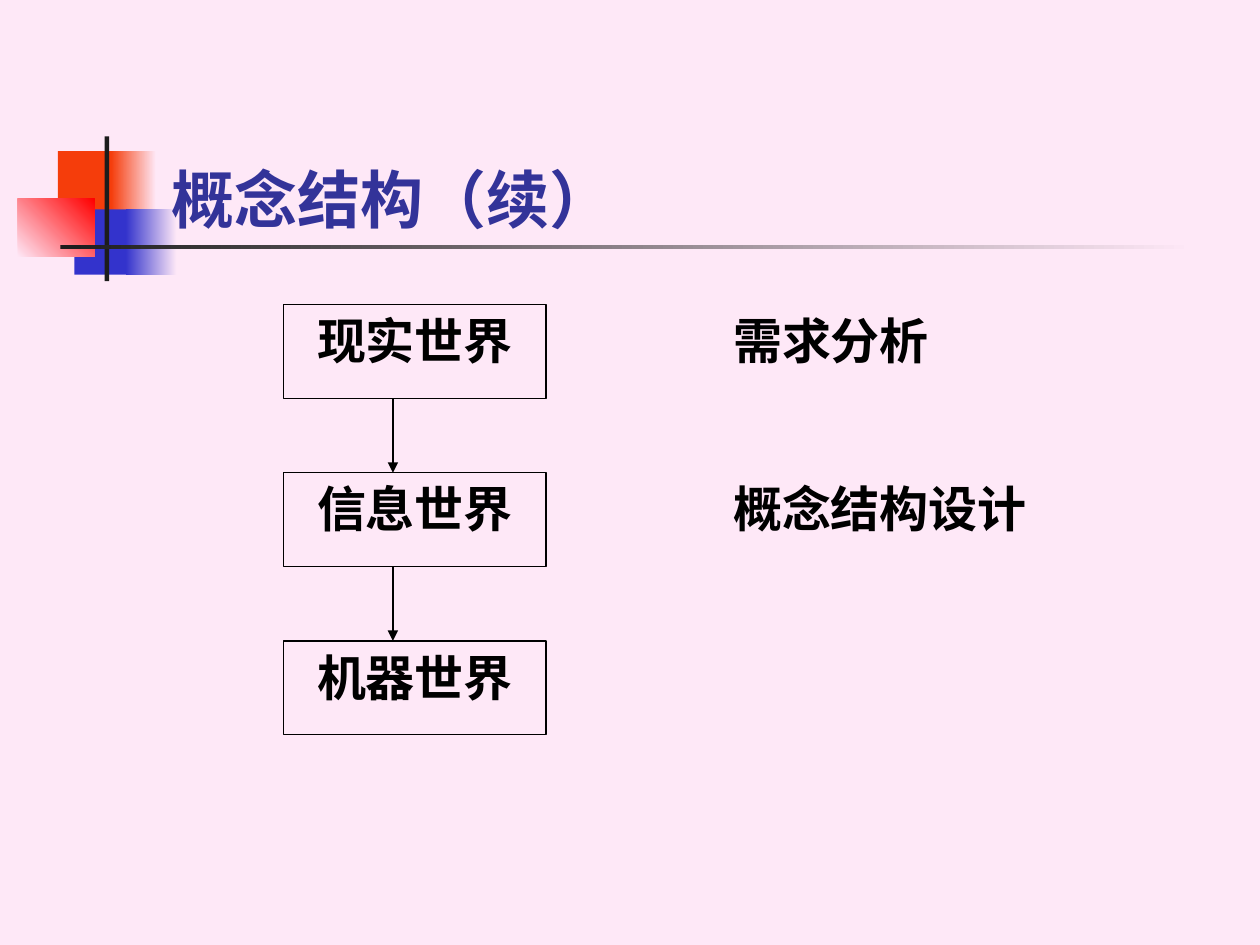
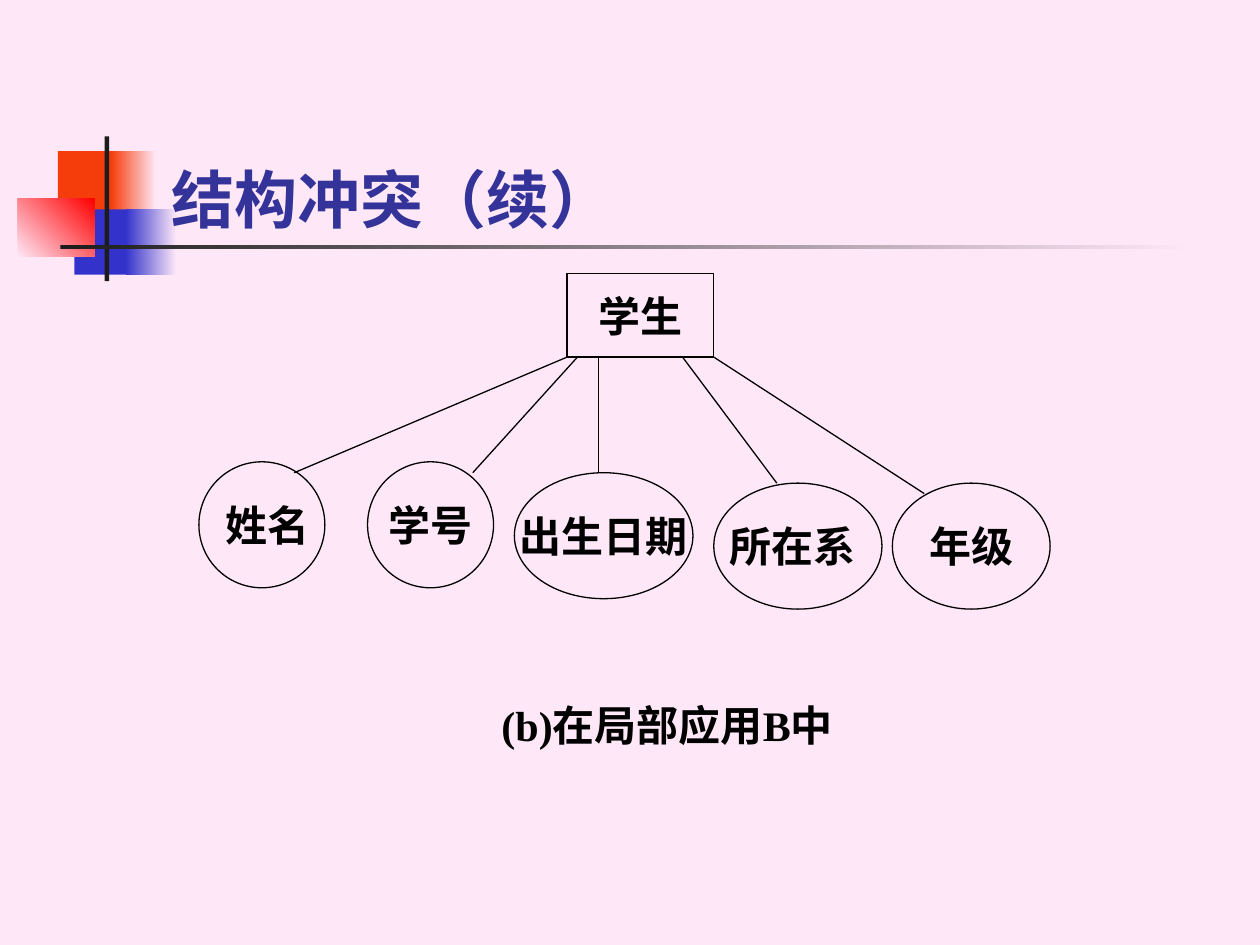
from lxml import etree
from pptx import Presentation
from pptx.dml.color import RGBColor
from pptx.enum.shapes import MSO_CONNECTOR, MSO_SHAPE
from pptx.enum.text import MSO_ANCHOR, PP_ALIGN
from pptx.oxml.ns import qn
from pptx.util import Cm, Pt

RECT, OVAL = MSO_SHAPE.RECTANGLE, MSO_SHAPE.OVAL
STRAIGHT = MSO_CONNECTOR.STRAIGHT
TOP, MIDDLE, BOTTOM = MSO_ANCHOR.TOP, MSO_ANCHOR.MIDDLE, MSO_ANCHOR.BOTTOM
LEFT, CENTER, JUSTIFY = PP_ALIGN.LEFT, PP_ALIGN.CENTER, PP_ALIGN.JUSTIFY

rgb = RGBColor.from_string
PINK, ORANGE, BLUE, RED = "FEE8F7", "F53D0B", "3333CC", "FF0000"
CHARCOAL, NAVY, BLACK = "1C1C1C", "333399", "000000"
TITLE_FONT, BODY_FONT = "Lato", "Times New Roman"


def add_label(slide, outline, at, text, size, align=CENTER, anchor=MIDDLE, wrap=False):
    place = [Cm(v) for v in at]
    if outline is None:
        label = slide.shapes.add_textbox(*place)
    else:
        label = slide.shapes.add_shape(outline, *place)
        label.shadow.inherit = False
        label.fill.background()
        label.line.color.rgb = rgb(BLACK)
        label.line.width = Pt(0.75)
    frame = label.text_frame
    frame.word_wrap = wrap
    frame.vertical_anchor = anchor
    paragraph = frame.paragraphs[0]
    paragraph.alignment = align
    run = paragraph.add_run()
    run.text = text
    run.font.name = BODY_FONT
    run.font.size = Pt(size)
    run.font.bold = True
    run.font.color.rgb = rgb(BLACK)
    return label


def add_link(slide, start, end, arrow=False):
    link = slide.shapes.add_connector(STRAIGHT, *[Cm(v) for v in start + end])
    link.line.color.rgb = rgb(BLACK)
    link.line.width = Pt(0.75)
    if arrow:
        etree.SubElement(link.line._get_or_add_ln(), qn("a:tailEnd"), type="triangle")
    etree.SubElement(link._element.spPr, qn("a:effectLst"))


deck = Presentation()
deck.slide_width, deck.slide_height = Cm(25.4), Cm(19.05)
layout = deck.slide_layouts[5]
layout.background.fill.solid()
layout.background.fill.fore_color.rgb = rgb(PINK)

worlds_slide, conflict_slide = [deck.slides.add_slide(layout) for _ in range(2)]

ornaments = [
    ((1.17, 3.05, 1.22, 1.32), [ORANGE], 0),
    ((2.24, 3.05, 0.91, 1.32), [ORANGE, PINK], 0),
    ((1.5, 4.22, 1.17, 1.32), [BLUE], 0),
    ((2.54, 4.22, 1.02, 1.32), [BLUE, PINK], 0),
    ((0.36, 4.01, 1.55, 1.17), [PINK, RED], 45),
    ((2.11, 2.75, 0.09, 2.92), [CHARCOAL], 0),
    ((1.22, 4.94, 22.86, 0.09), [CHARCOAL, PINK], 0),
]
for layer, (at, colours, angle) in enumerate(ornaments):
    ornament = worlds_slide.shapes.add_shape(RECT, *[Cm(v) for v in at])
    ornament.shadow.inherit = False
    ornament.line.fill.background()
    if len(colours) == 1:
        ornament.fill.solid()
        ornament.fill.fore_color.rgb = rgb(colours[0])
    else:
        ornament.fill.gradient()
        ornament.fill.gradient_angle = angle
        for stop, colour in zip(ornament.fill.gradient_stops, colours):
            stop.color.rgb = rgb(colour)
    layout.shapes.element.insert(2 + layer, ornament.element)

for slide, heading in [(worlds_slide, "概念结构（续）"), (conflict_slide, "结构冲突（续）")]:
    title = slide.shapes.title
    title.left, title.top, title.width, title.height = Cm(3.2), Cm(1.7), Cm(21.64), Cm(3.18)
    title.text_frame.vertical_anchor = BOTTOM
    paragraph = title.text_frame.paragraphs[0]
    paragraph.alignment = LEFT
    run = paragraph.add_run()
    run.text = heading
    run.font.name = TITLE_FONT
    run.font.size = Pt(36)
    run.font.bold = True
    run.font.color.rgb = rgb(NAVY)

worlds = [("现实世界", "需求分析", 4.85), ("信息世界", "概念结构设计", 7.49), ("机器世界", None, 0)]
world_top, world_height, world_step, arrow_x = 6.14, 1.89, 3.39, 7.92
for row, (world, phase, phase_width) in enumerate(worlds):
    top = world_top + row * world_step
    add_label(worlds_slide, RECT, (5.72, top, 5.29, world_height), world, 28, anchor=TOP, wrap=True)
    if phase:
        add_label(worlds_slide, None, (14.53, top, phase_width, 1.5), phase, 28, JUSTIFY, TOP, True)
        add_link(worlds_slide, (arrow_x, top + world_height), (arrow_x, top + world_step), True)

add_label(conflict_slide, None, (9.32, 13.76, 8.26, 1.7), "(b)在局部应用B中", 24)
entity_top, entity_height = 5.51, 1.69
add_label(conflict_slide, RECT, (11.43, entity_top, 2.95, entity_height), "学生", 24)

attributes = [
    ("姓名", 4.01, 9.31, 2.54, 11.43, (5.93, 9.53)),
    ("学号", 7.41, 9.31, 2.54, 11.64, (9.53, 9.53)),
    ("出生日期", 10.37, 9.53, 3.6, 12.07, (12.07, 9.53)),
    ("所在系", 14.39, 9.74, 3.39, 13.76, (15.66, 9.74)),
    ("年级", 17.99, 9.74, 3.18, 14.39, (18.63, 9.95)),
]
ovals = {}
for attribute, left, top, width, link_x, link_end in attributes:
    ovals[attribute] = add_label(conflict_slide, OVAL, (left, top, width, 2.54), attribute, 24)
    add_link(conflict_slide, (link_x, entity_top + entity_height), link_end)
ovals["姓名"].text_frame.margin_left = Cm(0.46)
ovals["所在系"].text_frame.margin_right = Cm(0.46)

deck.save("out.pptx")
